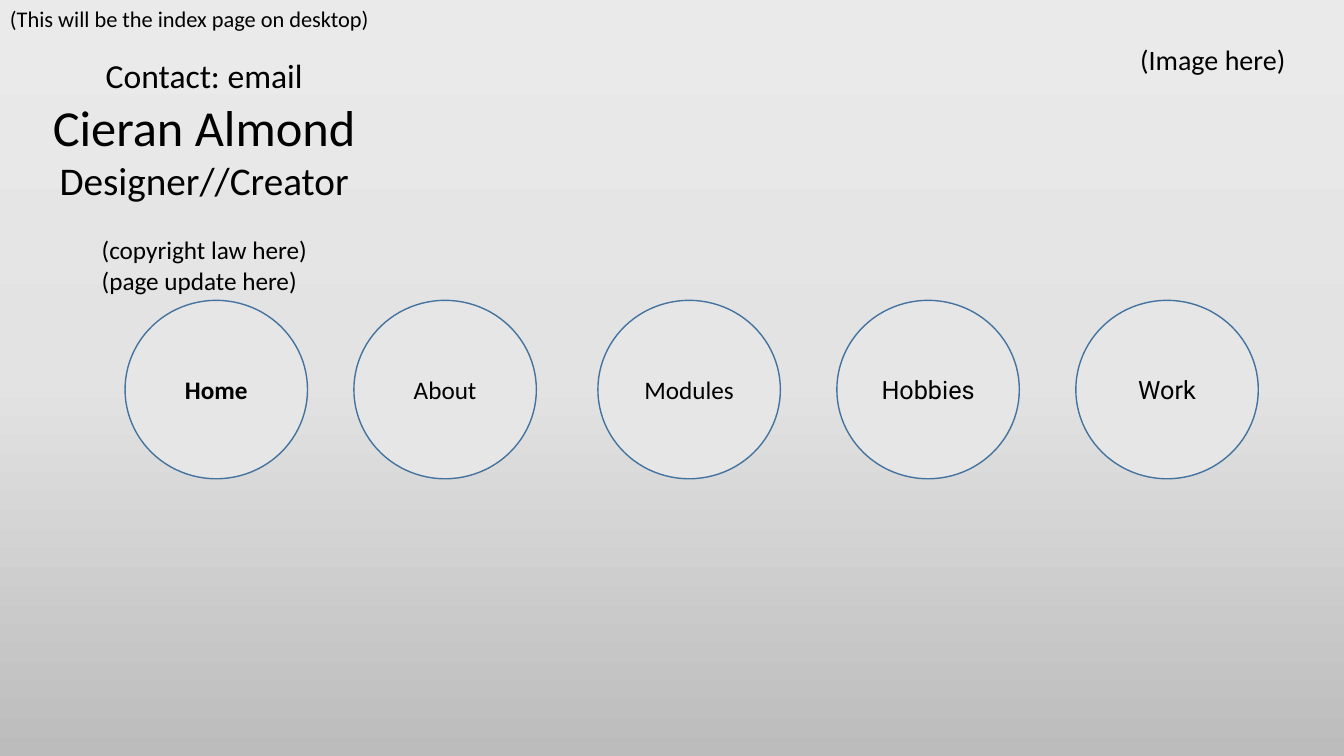
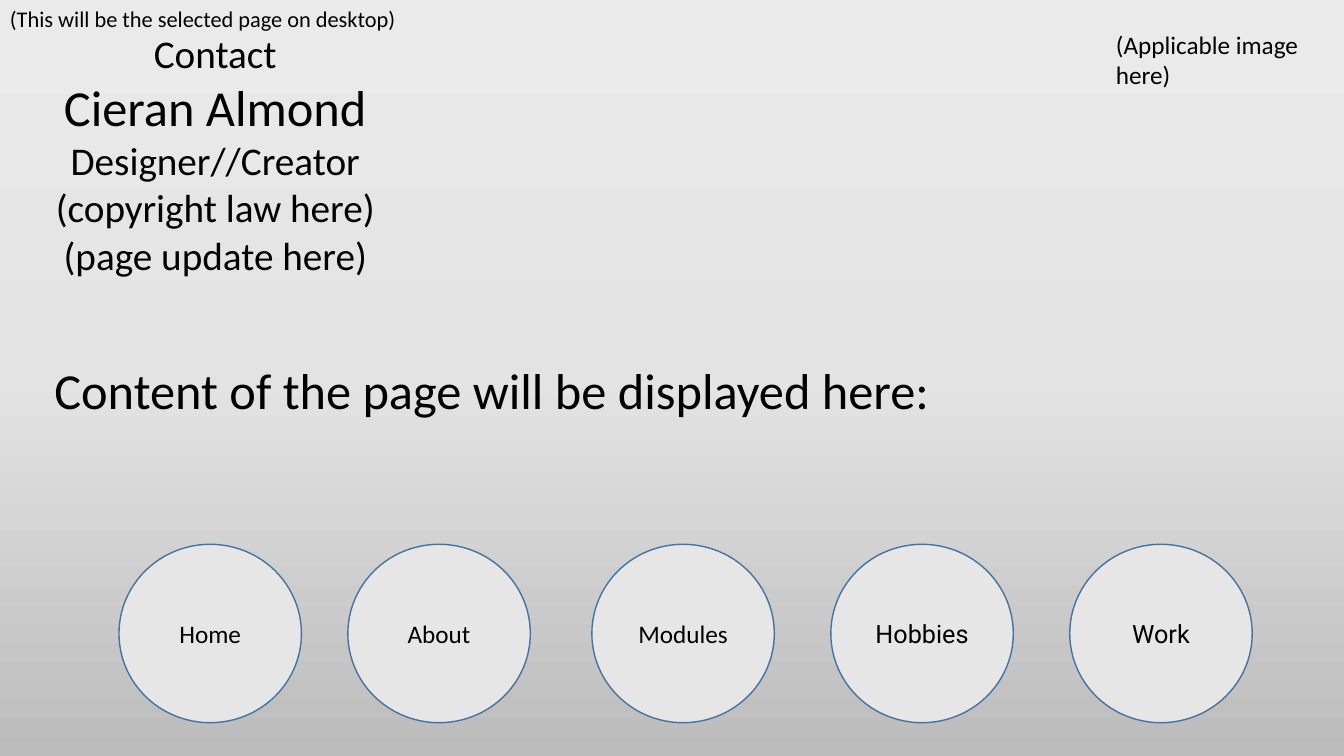
import pptx
import pptx.util
import pptx.dml.color
import pptx.enum.shapes
import pptx.enum.text
import pptx.oxml.ns
import lxml.etree

Inches = pptx.util.Inches
Pt = pptx.util.Pt
RGBColor = pptx.dml.color.RGBColor
ALIGN = pptx.enum.text.PP_ALIGN
qn = pptx.oxml.ns.qn

BLACK = RGBColor(0x00, 0x00, 0x00)
CIRCLE_FILL = RGBColor(0xE7, 0xE6, 0xE6)
CIRCLE_LINE = RGBColor(0x43, 0x73, 0x9E)
TEXT_OUTLINE = RGBColor(0x26, 0x26, 0x26)
BACKDROP = [
    (0, RGBColor(0xEB, 0xEA, 0xEA)),
    (50, RGBColor(0xE4, 0xE3, 0xE3)),
    (100, RGBColor(0xBD, 0xBC, 0xBC)),
]

BODY_FONT = "Calibri"
MENU_FONT = "Roboto"
CIRCLE_WIDTH, CIRCLE_HEIGHT = 1.81, 1.77
# Page label, distance from the first circle, font
MENU = [
    ("Home", 0, BODY_FONT),
    ("About", 2.27, BODY_FONT),
    ("Modules", 4.69, BODY_FONT),
    ("Hobbies", 7.06, MENU_FONT),
    ("Work", 9.43, MENU_FONT),
]


def add_solid_fill(parent, color):
    """Append a solid colour to a drawing element."""
    fill = lxml.etree.SubElement(parent, qn("a:solidFill"))
    lxml.etree.SubElement(fill, qn("a:srgbClr"), val=str(color))


def paint_backdrop(master):
    """Give every slide the grey vertical gradient."""
    fill = master.background.fill
    fill.gradient()
    fill.gradient_angle = 270
    stops = next(master.element.iter(qn("a:gsLst")))
    for stop in list(stops):
        stops.remove(stop)
    for percent, color in BACKDROP:
        stop = lxml.etree.SubElement(stops, qn("a:gs"), pos=str(percent * 1000))
        lxml.etree.SubElement(stop, qn("a:srgbClr"), val=str(color))


def add_run(paragraph, text, size, font=BODY_FONT, bold=None):
    """Add one black run and return it."""
    run = paragraph.add_run()
    run.text = text
    run.font.size = Pt(size)
    run.font.name = font
    run.font.bold = bold
    run.font.color.rgb = BLACK
    return run


def add_text(slide, left, top, width, height, lines, align=ALIGN.LEFT):
    """Add a text box with one paragraph per (text, size) pair."""
    box = slide.shapes.add_textbox(
        Inches(left), Inches(top), Inches(width), Inches(height))
    frame = box.text_frame
    frame.word_wrap = True
    frame.auto_size = pptx.enum.text.MSO_AUTO_SIZE.SHAPE_TO_FIT_TEXT
    for index, (text, size) in enumerate(lines):
        paragraph = frame.add_paragraph() if index else frame.paragraphs[0]
        paragraph.alignment = align
        add_run(paragraph, text, size)


def outline_text(run):
    """Draw a thin dark outline around the letters of a run."""
    properties = run.font.fill and run._r.get_or_add_rPr()
    outline = lxml.etree.Element(qn("a:ln"), w=str(Pt(0.75)))
    add_solid_fill(outline, TEXT_OUTLINE)
    properties.insert(0, outline)


def add_menu_circle(slide, left, top, label, font, bold):
    """Add one round navigation button."""
    circle = slide.shapes.add_shape(
        pptx.enum.shapes.MSO_SHAPE.OVAL, Inches(left), Inches(top),
        Inches(CIRCLE_WIDTH), Inches(CIRCLE_HEIGHT))
    circle.shadow.inherit = False
    circle.fill.solid()
    circle.fill.fore_color.rgb = CIRCLE_FILL
    circle.line.color.rgb = CIRCLE_LINE
    circle.line.width = Pt(1)
    frame = circle.text_frame
    frame.vertical_anchor = pptx.enum.text.MSO_ANCHOR.MIDDLE
    paragraph = frame.paragraphs[0]
    paragraph.alignment = ALIGN.CENTER
    outline_text(add_run(paragraph, label, 18, font, bold))


def add_menu(slide, left, top, current=None):
    """Add the row of buttons, with the current page in bold."""
    for label, offset, font in MENU:
        add_menu_circle(slide, left + offset, top, label, font,
                        True if label == current else None)


def add_page(prs, caption):
    """Add a blank slide with its caption in the top left corner."""
    slide = prs.slides.add_slide(prs.slide_layouts[6])
    add_text(slide, 0, 0, 4.28, 0.37, [(caption, 16)])
    return slide


def build_index_page(prs):
    """Build the index page mock-up."""
    slide = add_page(prs, "(This will be the index page on desktop)")
    add_text(slide, 0, 0.5, 4.05, 1.58, [
        ("Contact: email", 24),
        ("Cieran Almond", 36),
        ("Designer//Creator", 28),
    ], ALIGN.CENTER)
    add_menu(slide, 1.24, 2.98, current="Home")
    add_text(slide, 0.91, 2.28, 3.39, 0.71, [
        ("(copyright law here)", 18),
        ("(page update here)", 18),
    ])
    add_text(slide, 11.21, 0.37, 1.77, 0.44, [("(Image here)", 20)])


def build_selected_page(prs):
    """Build the mock-up of a selected page."""
    slide = add_page(prs, "(This will be the selected page on desktop)")
    add_text(slide, 0.11, 0.24, 4.05, 2.59, [
        ("Contact", 28),
        ("Cieran Almond", 36),
        ("Designer//Creator", 28),
        ("(copyright law here)", 28),
        ("(page update here)", 28),
    ], ALIGN.CENTER)
    add_menu(slide, 1.18, 5.4)
    add_text(slide, 0.44, 3.51, 11.69, 0.71,
             [("Content of the page will be displayed here:", 36)])
    add_text(slide, 10.97, 0.24, 2.15, 0.71,
             [("(Applicable image here)", 18)])


def main():
    """Build and save the presentation."""
    prs = pptx.Presentation()
    prs.slide_width = Inches(13.33)
    prs.slide_height = Inches(7.5)
    paint_backdrop(prs.slide_master)
    build_index_page(prs)
    build_selected_page(prs)
    prs.save("out.pptx")


main()
